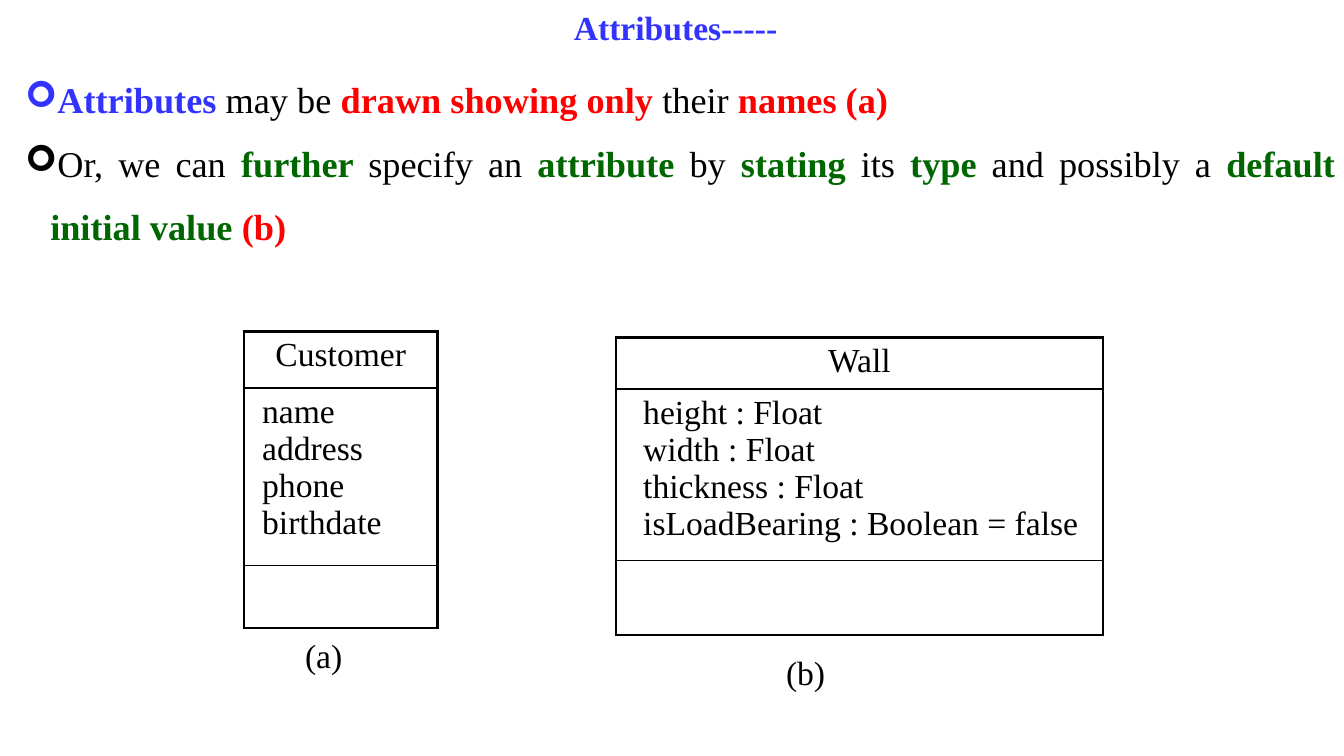
"""Build the slide on drawing class attributes."""
from lxml.etree import SubElement as Sub
from pptx import Presentation
from pptx.dml.color import RGBColor as RGB
from pptx.enum.text import MSO_ANCHOR as Anchor, PP_ALIGN as Align
from pptx.oxml.ns import qn
from pptx.util import Inches, Pt

BLUE = RGB(0x33, 0x33, 0xFF)
RED = RGB(0xFF, 0, 0)
GREEN = RGB(0, 0x66, 0)
BLACK = RGB(0, 0, 0)


def write(para, text, size=24, color=BLACK, bold=False, align=None):
    run = para.add_run()
    run.text = text
    font = run.font
    font.name = "Times New Roman"
    font.size = Pt(size)
    font.bold = bold
    font.color.rgb = color
    if align is not None:
        para.alignment = align


def border(cell, sides):
    props = cell._tc.get_or_add_tcPr()
    for side, width in sides.items():
        line = Sub(props, qn(f"a:ln{side}"), w=str(Pt(width)))
        fill = Sub(line, qn("a:solidFill"))
        Sub(fill, qn("a:srgbClr"), val=str(BLACK))


prs = Presentation()
prs.slide_width = Inches(13.33)
prs.slide_height = Inches(7.5)
slide = prs.slides.add_slide(prs.slide_layouts[5])
shapes = slide.shapes

title = shapes.title
title.left, title.top = Inches(1.7), Inches(0.02)
title.width, title.height = Inches(10), Inches(0.51)
title.text_frame.vertical_anchor = Anchor.TOP
write(title.text_frame.paragraphs[0], "Attributes-----", color=BLUE,
      bold=True, align=Align.CENTER)

points = [
    [("Attributes ", BLUE), ("may be ", BLACK),
     ("drawn showing only ", RED), ("their", BLACK), (" names (a)", RED)],
    [("Or, we can ", BLACK), ("further ", GREEN), ("specify an ", BLACK),
     ("attribute", GREEN), (" by ", BLACK), ("stating", GREEN),
     (" its ", BLACK), ("type ", GREEN), ("and possibly a ", BLACK),
     ("default initial value", GREEN), (" (b)", RED)],
]
body = shapes.add_textbox(Inches(0.15), Inches(0.52), Inches(13.19),
                          Inches(1.95)).text_frame
body.word_wrap = True
for i, parts in enumerate(points):
    para = body.add_paragraph() if i else body.paragraphs[0]
    para.line_spacing = 1.46
    props = para._p.get_or_add_pPr()
    props.set("marL", str(Inches(0.25)))
    props.set("indent", str(Inches(-0.25)))
    Sub(props, qn("a:buFont"), typeface="Wingdings")
    Sub(props, qn("a:buChar"), char="➢")
    for text, color in parts:
        write(para, text, 25.9, color, color != BLACK, Align.JUSTIFY)

classes = [
    ("Customer", ["name", "address", "phone", "birthdate"],
     2.42, 3.29, 1.92, [0.56, 1.76, 0.62], 0.18),
    ("Wall", ["height : Float", "width : Float", "thickness : Float",
              "isLoadBearing : Boolean = false"],
     6.11, 3.35, 4.83, [0.51, 1.7, 0.74], 0.27),
]
for name, fields, left, top, width, rows, inset in classes:
    table = shapes.add_table(3, 1, Inches(left), Inches(top), Inches(width),
                             Inches(sum(rows))).table
    table.first_row = table.horz_banding = False
    for i, height in enumerate(rows):
        table.rows[i].height = Inches(height)
        cell = table.cell(i, 0)
        border(cell, {"L": 2.25, "R": 2.25, "T": 1 if i else 2.25,
                      "B": 2.25 if i == 2 else 1})
        cell.fill.background()
    write(table.cell(0, 0).text_frame.paragraphs[0], name,
          align=Align.CENTER)
    cell = table.cell(1, 0)
    cell.margin_left = Inches(inset)
    cell.margin_right = Inches(0.05)
    for i, field in enumerate(fields):
        frame = cell.text_frame
        para = frame.add_paragraph() if i else frame.paragraphs[0]
        write(para, field)

for text, left, top in [("(a)", 2.67, 6.25), ("(b)", 7.45, 6.42)]:
    label = shapes.add_textbox(Inches(left), Inches(top), Inches(1.08),
                               Inches(0.5)).text_frame
    label.word_wrap = True
    write(label.paragraphs[0], text, align=Align.CENTER)

prs.save("out.pptx")
